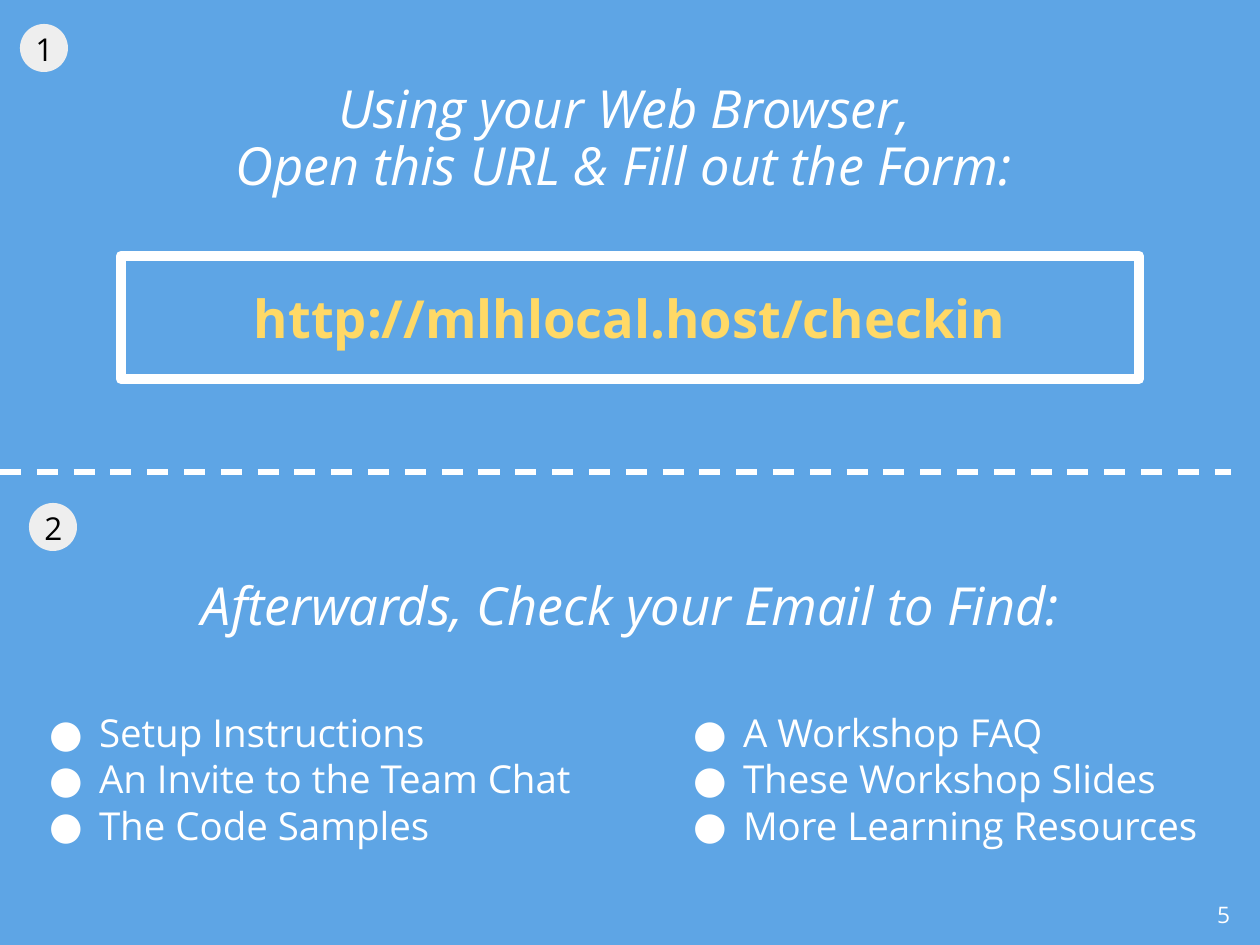
from lxml import etree
from pptx import Presentation
from pptx.dml.color import RGBColor
from pptx.enum.dml import MSO_LINE
from pptx.enum.shapes import MSO_CONNECTOR, MSO_SHAPE
from pptx.enum.text import MSO_ANCHOR, PP_ALIGN
from pptx.oxml.ns import qn
from pptx.util import Emu, Pt

RECT, OVAL = MSO_SHAPE.RECTANGLE, MSO_SHAPE.OVAL
LINE, DASH = MSO_CONNECTOR.STRAIGHT, MSO_LINE.DASH
TOP, MID = MSO_ANCHOR.TOP, MSO_ANCHOR.MIDDLE
LEFT, MIDDLE, RIGHT = PP_ALIGN.LEFT, PP_ALIGN.CENTER, PP_ALIGN.RIGHT

WHITE, BLUE, GOLD, GREY, BLACK = "FFFFFF", "5EA5E5", "FFD966", "EEEEEE", "000000"
SCALE = 914400 / 126  # EMU in one px


def px(*nums):
    return [Emu(round(n * SCALE)) for n in nums]


def tint(code):
    return RGBColor.from_string(code)


def node(base, tag, **attrs):
    return etree.SubElement(base, qn(tag), attrs)


class Deck:
    font = "Open Sans"
    pad = 13
    indent, hang = 63, -50

    def __init__(self, wide, high, back):
        self.prs = Presentation()
        self.prs.slide_width, self.prs.slide_height = px(wide, high)
        self.slide = self.prs.slides.add_slide(self.prs.slide_layouts[6])
        fill = self.slide.background.fill
        fill.solid()
        fill.fore_color.rgb = tint(back)

    def label(self, shape, lines, size, color=WHITE, align=MIDDLE, anchor=MID,
              space=1.0, dots=False, **style):
        frame = shape.text_frame
        pad = px(self.pad)[0]
        form = {"word_wrap": True, "vertical_anchor": anchor,
                "margin_left": pad, "margin_right": pad,
                "margin_top": pad, "margin_bottom": pad}
        for key, value in form.items():
            setattr(frame, key, value)
        for i, line in enumerate(lines):
            para = frame.add_paragraph() if i else frame.paragraphs[0]
            para.alignment, para.line_spacing = align, space
            if dots:
                self.dot(para, color)
            run = para.add_run()
            run.text = line
            look = {"name": self.font, "size": Pt(size), **style}
            for key, value in look.items():
                setattr(run.font, key, value)
            run.font.color.rgb = tint(color)

    def dot(self, para, color):
        props = para._p.get_or_add_pPr()
        for key, value in zip(("marL", "indent"), px(self.indent, self.hang)):
            props.set(key, str(value))
        node(node(props, "a:buClr"), "a:srgbClr", val=color)
        node(props, "a:buFont", typeface=self.font)
        node(props, "a:buChar", char="●")

    def text(self, box, lines, size, **style):
        self.label(self.slide.shapes.add_textbox(*px(*box)), lines, size, **style)

    def shape(self, kind, box, fill, edge=None, width=0):
        shape = self.slide.shapes.add_shape(kind, *px(*box))
        shape.shadow.inherit = False
        shape.fill.solid()
        shape.fill.fore_color.rgb = tint(fill)
        if edge:
            shape.line.color.rgb = tint(edge)
            shape.line.width = Pt(width)
            node(shape._element.spPr.find(qn("a:ln")), "a:round")
        else:
            shape.line.fill.background()
        return shape

    def rule(self, ends, color, width):
        rule = self.slide.shapes.add_connector(LINE, *px(*ends))
        rule.line.color.rgb = tint(color)
        rule.line.width = Pt(width)
        rule.line.dash_style = DASH
        node(rule._element.spPr, "a:effectLst")

    def badge(self, left, top, mark):
        self.shape(OVAL, (left, top, 48, 48), GREY)
        self.text((left - 6, top - 7, 61, 63), [mark], 18, color=BLACK)


def main():
    deck = Deck(1260, 945, BLUE)

    # Step one: heading and address
    deck.text((23, 82, 1216, 116),
              ["Using your Web Browser, ", "Open this URL & Fill out the Form: "],
              30, italic=True, space=0.9)
    frame = deck.shape(RECT, (121, 256, 1018, 123), BLUE, WHITE, 6)
    deck.label(frame, ["http://mlhlocal.host/checkin"], 30, color=GOLD, bold=True)

    # Divider
    deck.rule((0, 472, 1231, 472), WHITE, 3)

    # Step two: heading and two lists
    deck.text((23, 547, 1216, 116), ["Afterwards, Check your Email to Find:"],
              30, italic=True)
    lists = [
        ["Setup Instructions", "An Invite to the Team Chat", "The Code Samples"],
        ["A Workshop FAQ", "These Workshop Slides", "More Learning Resources"],
    ]
    for i, items in enumerate(lists):
        deck.text((23 + 644 * i, 664, 572, 229), items, 22, align=LEFT, dots=True)

    # Step badges
    deck.badge(20, 24, "1")
    deck.badge(29, 503, "2")

    # Page number
    deck.text((1168, 888, 75, 57), ["5"], 13, align=RIGHT, anchor=TOP)

    deck.prs.save("out.pptx")


if __name__ == "__main__":
    main()
